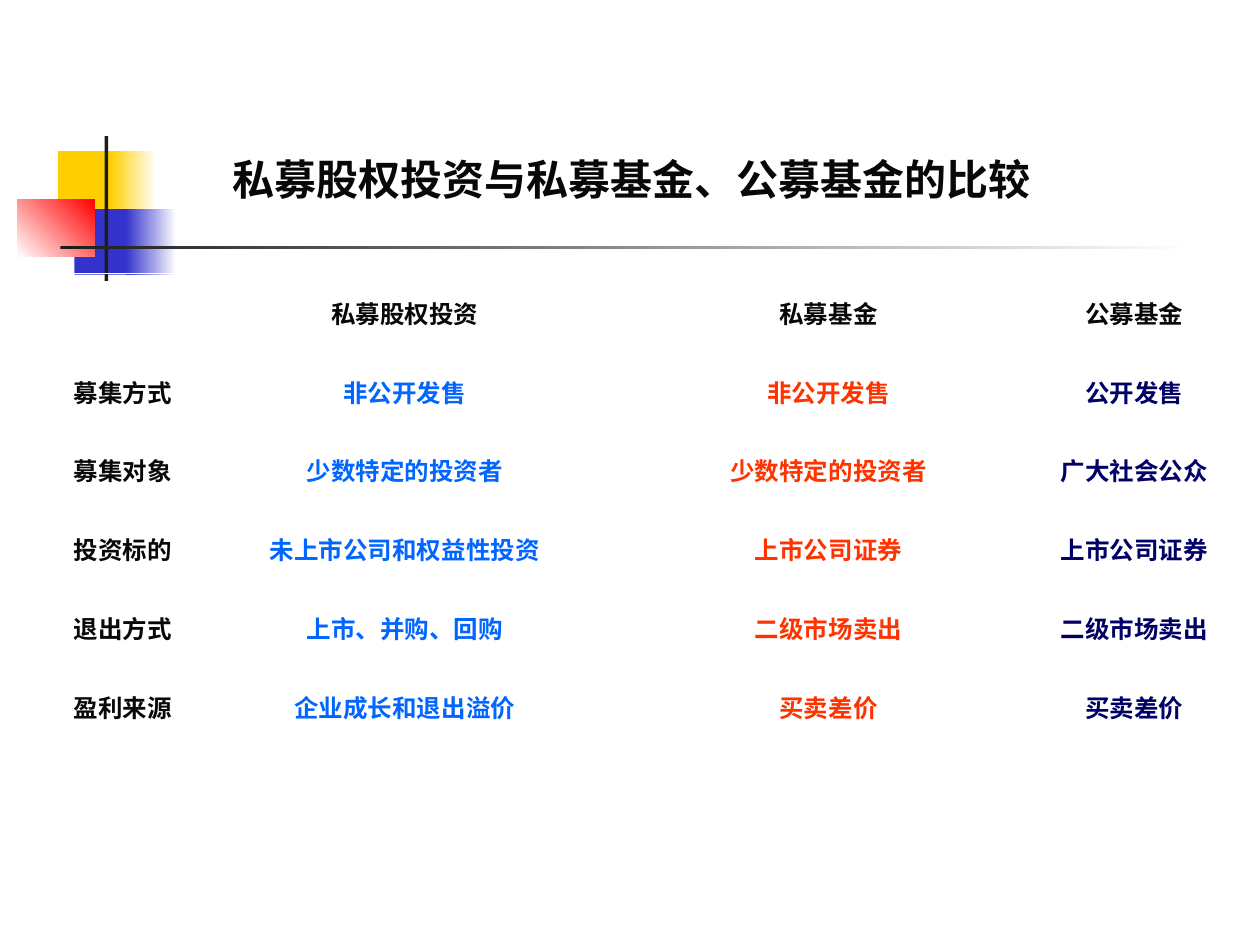
from dataclasses import dataclass

from lxml import etree
from pptx import Presentation
from pptx.dml.color import RGBColor
from pptx.enum.shapes import MSO_SHAPE
from pptx.enum.text import MSO_ANCHOR, PP_ALIGN
from pptx.oxml.ns import qn
from pptx.util import Inches, Pt

RECTANGLE = MSO_SHAPE.RECTANGLE
MIDDLE = MSO_ANCHOR.MIDDLE
LEFT, CENTER = PP_ALIGN.LEFT, PP_ALIGN.CENTER


@dataclass(frozen=True)
class Theme:
    ink: str = "080808"
    private_equity: str = "0066FF"
    private_fund: str = "FF3300"
    public_fund: str = "000066"
    yellow: str = "FFCF01"
    blue: str = "3333CC"
    red: str = "FF0000"
    rule: str = "1C1C1C"
    white: str = "FFFFFF"
    title_size: int = 24
    table_size: int = 14
    title_font: str = "Arial"
    chinese_font: str = "Noto Sans CJK SC"


THEME = Theme()

COMPARISON = [
    ["", "私募股权投资", "私募基金", "公募基金"],
    ["募集方式", "非公开发售", "非公开发售", "公开发售"],
    ["募集对象", "少数特定的投资者", "少数特定的投资者", "广大社会公众"],
    ["投资标的", "未上市公司和权益性投资", "上市公司证券", "上市公司证券"],
    ["退出方式", "上市、并购、回购", "二级市场卖出", "二级市场卖出"],
    ["盈利来源", "企业成长和退出溢价", "买卖差价", "买卖差价"],
]
COLUMN_SHARES = [1.11, 3.36, 3.36, 1.49]


def write_text(frame, text, *, size, color, font, align=LEFT):
    paragraph = frame.paragraphs[0]
    paragraph.alignment = align
    run = paragraph.add_run()
    run.text = text
    run.font.size = Pt(size)
    run.font.bold = True
    run.font.name = font
    run.font.color.rgb = RGBColor.from_string(color)
    east_asian = etree.SubElement(run.font._element, qn("a:ea"))
    east_asian.set("typeface", THEME.chinese_font)


def add_block(slide, box, color, end_color=None, angle=0):
    block = slide.shapes.add_shape(RECTANGLE, *map(Inches, box))
    block.shadow.inherit = False
    block.line.fill.background()
    if end_color is None:
        block.fill.solid()
        block.fill.fore_color.rgb = RGBColor.from_string(color)
        return
    block.fill.gradient()
    block.fill.gradient_angle = angle
    for stop, stop_color in zip(block.fill.gradient_stops, (color, end_color)):
        stop.color.rgb = RGBColor.from_string(stop_color)


def add_ornament(slide, left, top, width, height):
    def place(dx, dy, block_width, block_height, *colors, angle=0):
        box = (left + dx, top + dy, block_width, block_height)
        add_block(slide, box, *colors, angle=angle)

    place(0.32, 0.12, 0.48, 0.52, THEME.yellow)
    place(0.74, 0.12, 0.36, 0.52, THEME.yellow, THEME.white)
    place(0.45, 0.58, 0.46, 0.52, THEME.blue)
    place(0.86, 0.58, 0.4, 0.52, THEME.blue, THEME.white)
    place(0, 0.5, 0.61, 0.46, THEME.white, THEME.red, angle=45)
    place(0.69, 0, 0.03, height, THEME.rule)
    place(0.34, 0.87, width - 0.34, 0.03, THEME.rule, THEME.white)


def add_comparison(slide, left, top, width, height):
    box = map(Inches, (left, top, width, height))
    table = slide.shapes.add_table(len(COMPARISON), len(COLUMN_SHARES), *box).table
    table.first_row = False
    table.horz_banding = False
    for column, share in zip(table.columns, COLUMN_SHARES):
        column.width = Inches(width * share / sum(COLUMN_SHARES))
    for row in table.rows:
        row.height = Inches(height / len(COMPARISON))

    column_colors = [
        THEME.ink, THEME.private_equity, THEME.private_fund, THEME.public_fund,
    ]
    for row_index, entries in enumerate(COMPARISON):
        for column_index, entry in enumerate(entries):
            cell = table.cell(row_index, column_index)
            cell.fill.background()
            cell.vertical_anchor = MIDDLE
            if entry:
                color = column_colors[column_index] if row_index else THEME.ink
                write_text(cell.text_frame, entry, size=THEME.table_size,
                           color=color, font=THEME.chinese_font, align=CENTER)


def add_title(slide, left, top, width, height):
    title = slide.shapes.add_textbox(*map(Inches, (left, top, width, height)))
    title.text_frame.word_wrap = True
    write_text(title.text_frame, "私募股权投资与私募基金、公募基金的比较",
               size=THEME.title_size, color=THEME.ink, font=THEME.title_font)


def main():
    deck = Presentation()
    deck.slide_width, deck.slide_height = Inches(10), Inches(7.5)
    slide = deck.slides.add_slide(deck.slide_layouts[6])
    add_ornament(slide, 0.14, 1.08, 9.34, 1.15)
    add_comparison(slide, 0.42, 2.17, 9.33, 3.75)
    add_title(slide, 1.75, 1.17, 7.5, 0.5)
    deck.save("out.pptx")


if __name__ == "__main__":
    main()
